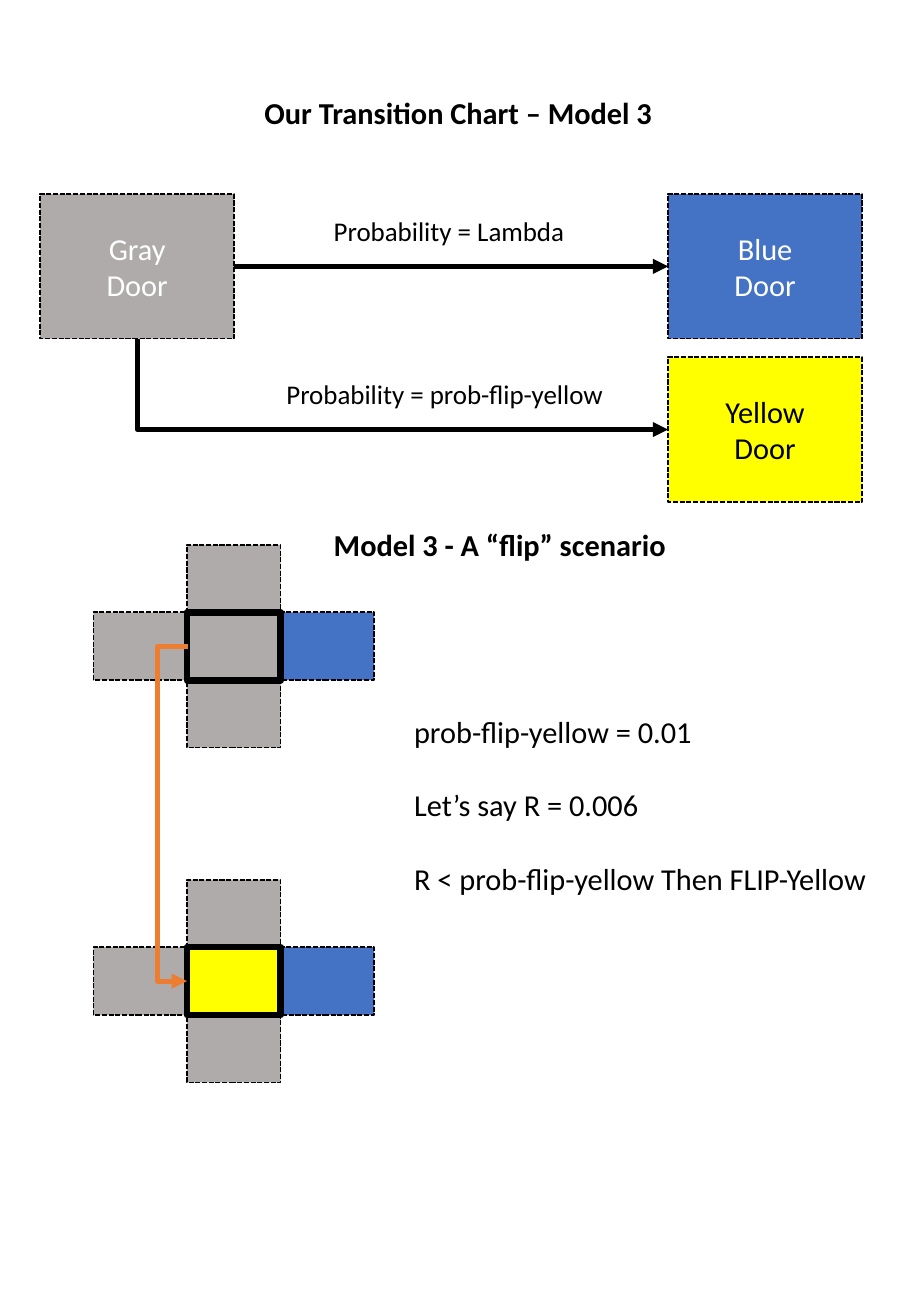
from lxml import etree
from pptx import Presentation
from pptx.dml.color import RGBColor
from pptx.enum.dml import MSO_LINE
from pptx.enum.shapes import MSO_CONNECTOR, MSO_SHAPE
from pptx.enum.text import MSO_ANCHOR, PP_ALIGN
from pptx.oxml.ns import qn
from pptx.util import Cm, Pt

BLACK = RGBColor(0x00, 0x00, 0x00)
WHITE = RGBColor(0xFF, 0xFF, 0xFF)
GRAY = RGBColor(0xAF, 0xAB, 0xAB)
BLUE = RGBColor(0x44, 0x72, 0xC4)
YELLOW = RGBColor(0xFF, 0xFF, 0x00)
ORANGE = RGBColor(0xED, 0x7D, 0x31)
FONT = "Calibri"
RECT = MSO_SHAPE.RECTANGLE
DASH = MSO_LINE.SQUARE_DOT
LINE, ELBOW = MSO_CONNECTOR.STRAIGHT, MSO_CONNECTOR.ELBOW
MIDDLE, CENTER = MSO_ANCHOR.MIDDLE, PP_ALIGN.CENTER

deck = Presentation()
deck.slide_width, deck.slide_height = Cm(19.05), Cm(27.51)
slide = deck.slides.add_slide(deck.slide_layouts[6])
shapes = slide.shapes


def add_box(x, y, wide, high, fill, bold=False):
    box = shapes.add_shape(RECT, Cm(x), Cm(y), Cm(wide), Cm(high))
    box.shadow.inherit = False
    box.fill.solid()
    box.fill.fore_color.rgb = fill
    box.line.color.rgb = BLACK
    box.line.width = Pt(4 if bold else 1)
    if not bold:
        box.line.dash_style = DASH
    return box


def add_arrow(kind, x1, y1, x2, y2, color):
    arrow = shapes.add_connector(kind, Cm(x1), Cm(y1), Cm(x2), Cm(y2))
    arrow.line.color.rgb = color
    arrow.line.width = Pt(3)
    props = arrow._element.spPr
    etree.SubElement(arrow.line._get_or_add_ln(), qn("a:tailEnd"), type="triangle")
    etree.SubElement(props, qn("a:effectLst"))
    return arrow, props


# Crosses of cells, before and after the flip
CELL_W, CELL_H = 1.96, 1.42
STEP_X, STEP_Y = 1.955, 1.41
MID_X, MID_Y, DROP = 3.91, 12.8, 7
SIDES = [(1, 0, BLUE), (0, -1, GRAY), (0, 1, GRAY), (-1, 0, GRAY)]
for i, core in enumerate([GRAY, YELLOW]):
    top = MID_Y + i * DROP
    for col, row, fill in SIDES:
        add_box(MID_X + col * STEP_X, top + row * STEP_Y, CELL_W, CELL_H, fill)
    add_box(MID_X, top, CELL_W, CELL_H, core, bold=True)

# Flip arrow, bending out to the left of both cores
SPAN, REACH = 0.03, 0.64
start = MID_Y + CELL_H / 2
flip, props = add_arrow(ELBOW, MID_X + SPAN, start, MID_X, start + DROP, ORANGE)
bend = props.find(qn("a:prstGeom")).find(qn("a:avLst"))
ratio = round(REACH / SPAN * 100000)
etree.SubElement(bend, qn("a:gd"), name="adj1", fmla=f"val {ratio}")

# Doors
DOOR_W, DOOR_H = 4.06, 3.02
LEFT, RIGHT, TOP, LOW = 0.84, 13.97, 4.06, 7.47
doors = {}
for name, x, y, fill, ink in [
    ("Gray", LEFT, TOP, GRAY, WHITE),
    ("Blue", RIGHT, TOP, BLUE, WHITE),
    ("Yellow", RIGHT, LOW, YELLOW, BLACK),
]:
    door = doors[name] = add_box(x, y, DOOR_W, DOOR_H, fill)
    frame = door.text_frame
    frame.text = f"{name}\nDoor"
    frame.vertical_anchor = MIDDLE
    for para in frame.paragraphs:
        para.alignment = CENTER
        font = para.runs[0].font
        font.name, font.size, font.color.rgb = FONT, Pt(18), ink

# Straight arrow from gray to blue
mid = TOP + DOOR_H / 2
link, props = add_arrow(LINE, LEFT + DOOR_W, mid, RIGHT, mid, BLACK)
link.begin_connect(doors["Gray"], 3)
link.end_connect(doors["Blue"], 1)

# Bent arrow from gray to yellow: a flipped elbow, turned about its center
x1, y1 = LEFT + DOOR_W / 2, TOP + DOOR_H
x2, y2 = RIGHT, LOW + DOOR_H / 2
mid_x, mid_y = (x1 + x2) / 2, (y1 + y2) / 2
half_w, half_h = (y2 - y1) / 2, (x2 - x1) / 2
turn, props = add_arrow(ELBOW, mid_x + half_w, mid_y - half_h,
                        mid_x - half_w, mid_y + half_h, BLACK)
props.find(qn("a:xfrm")).set("rot", str(270 * 60000))
props.find(qn("a:prstGeom")).set("prst", "bentConnector2")

# Headings, labels and the worked case
CASE = ("prob-flip-yellow = 0.01\nLet’s say R = 0.006\n"
        "R < prob-flip-yellow Then FLIP-Yellow")
for text, x, y, wide, high, size, bold in [
    ("Our Transition Chart – Model 3", 5.28, 1.85, 8.69, 1.02, 18, True),
    ("Probability = Lambda", 6.73, 4.37, 5.38, 0.94, 16, False),
    ("Probability = prob-flip-yellow", 5.74, 7.77, 7.21, 0.94, 16, False),
    ("Model 3 - A “flip” scenario", 6.73, 10.87, 7.52, 1.02, 18, True),
    (CASE, 8.41, 14.78, 10.08, 5.64, 18, False),
]:
    note = shapes.add_textbox(Cm(x), Cm(y), Cm(wide), Cm(high))
    frame = note.text_frame
    frame.word_wrap = False
    frame.text = text
    for para in frame.paragraphs:
        para.space_after = Pt(22 if text == CASE else 0)
        font = para.runs[0].font
        font.name, font.size, font.bold = FONT, Pt(size), bold
        font.color.rgb = BLACK

deck.save("out.pptx")
